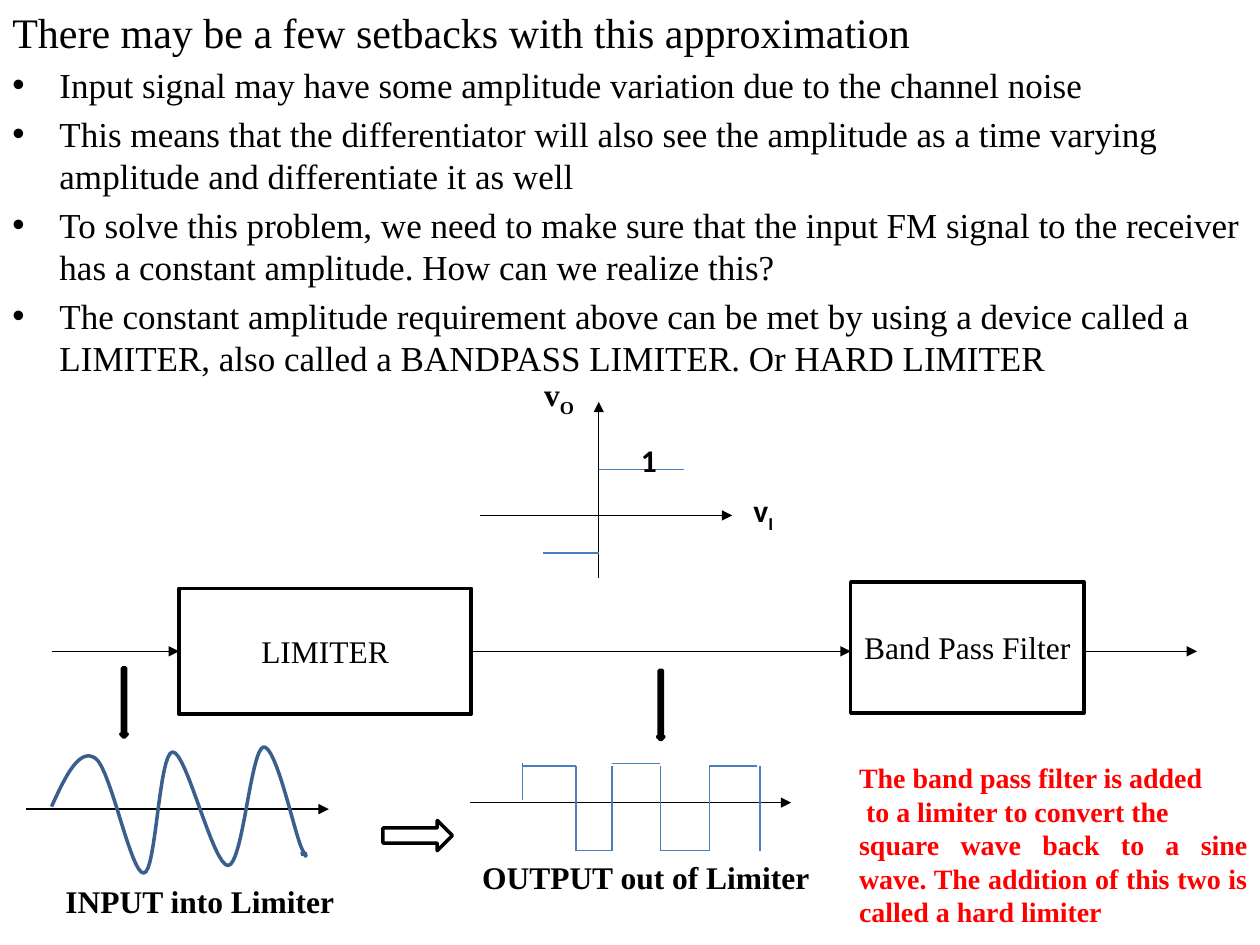
from dataclasses import dataclass

from lxml import etree
from pptx import Presentation
from pptx.dml.color import RGBColor
from pptx.enum.shapes import MSO_CONNECTOR, MSO_SHAPE
from pptx.enum.text import MSO_ANCHOR, MSO_AUTO_SIZE, PP_ALIGN
from pptx.oxml.ns import qn
from pptx.util import Cm, Pt

STRAIGHT = MSO_CONNECTOR.STRAIGHT
RECT, ARROW = MSO_SHAPE.RECTANGLE, MSO_SHAPE.RIGHT_ARROW
MIDDLE, GROW = MSO_ANCHOR.MIDDLE, MSO_AUTO_SIZE.SHAPE_TO_FIT_TEXT
CENTER, JUSTIFY = PP_ALIGN.CENTER, PP_ALIGN.JUSTIFY

HEX = {"ink": "000000", "paper": "FFFFFF", "wave": "4B7EBC",
       "curve": "3A5F8C", "note": "FF0000"}
SERIF = "Times New Roman"
STEPS = 16  # points per curve piece

# Text formats
BODY = {"name": SERIF, "size": Pt(20)}
HEAD = {"name": SERIF, "size": Pt(24)}
BLOCK = {"name": SERIF, "size": Pt(18)}
BOLD = {**BLOCK, "bold": True}
SANS = {**BOLD, "name": "Calibri"}
NOTE = {**BOLD, "size": Pt(16)}


@dataclass
class Line:
    x1: float
    y1: float
    x2: float
    y2: float


@dataclass
class Block:
    kind: int
    x: float
    y: float
    w: float
    h: float
    text: str = ""
    turn: int = 0


@dataclass
class Label:
    x: float
    y: float
    w: float
    text: str
    form: dict
    sub: str = ""


TITLE = "There may be a few setbacks with this approximation"
POINTS = [
    "Input signal may have some amplitude variation due to the channel noise",
    "This means that the differentiator will also see the amplitude as a time "
    "varying amplitude and differentiate it as well",
    "To solve this problem, we need to make sure that the input FM signal to "
    "the receiver has a constant amplitude. How can we realize this?",
    "The constant amplitude requirement above can be met by using a device "
    "called a LIMITER, also called a BANDPASS LIMITER. Or HARD LIMITER",
]
REMARK = [
    "The band pass filter is added",
    " to a limiter to convert the",
    "square wave back to a sine wave. The addition of this two is called "
    "a hard limiter",
]

BLOCKS = [
    Block(RECT, 3.61, 11.86, 5.89, 2.54, "LIMITER"),
    Block(RECT, 17.15, 11.73, 4.7, 2.64, "Band Pass Filter"),
    Block(ARROW, 7.72, 16.54, 1.4, 0.61),
    Block(ARROW, 12.62, 14.15, 1.4, 0.13, turn=90),
    Block(ARROW, 1.8, 14.1, 1.4, 0.13, turn=90),
]
FLOW = 13.13  # height of the signal path
ARROWS = [
    Line(1.04, FLOW, 3.61, FLOW),
    Line(9.47, FLOW, 17.15, FLOW),
    Line(21.84, FLOW, 24.13, FLOW),
    Line(9.68, 10.39, 14.76, 10.39),
    Line(12.07, 11.66, 12.07, 8.1),
    Line(0.53, 16.31, 6.63, 16.31),
    Line(9.47, 16.18, 15.95, 16.18),
]
LEVELS = [Line(12.07, 9.47, 13.79, 9.47), Line(12.07, 11.15, 10.95, 11.15)]
LABELS = [
    Label(14.94, 9.78, 0.97, "v", SANS, "I"),
    Label(10.72, 7.44, 1.14, "v", BOLD, "O"),
    Label(12.67, 8.76, 0.86, "1", SANS),
    Label(1.07, 17.65, 6.07, "INPUT into Limiter", BOLD),
    Label(9.47, 17.17, 7.32, "OUTPUT out of Limiter", BOLD),
]

# Square wave: a rise, then falling and rising edges joined at top and bottom
TOP, PEAK, LOW = 15.44, 15.39, 17.15
START, *EDGES = 10.54, 11.61, 12.34, 13.31, 14.3, 15.32
SQUARE = [Line(START, 16.13, START, PEAK)]
SQUARE += [Line(x, TOP, x, LOW) for x in EDGES]
SQUARE += [Line(a, LOW, b, LOW) for a, b in zip(EDGES[::2], EDGES[1::2])]
SQUARE += [Line(START, TOP, EDGES[0], TOP),
           Line(EDGES[1], PEAK, EDGES[2], PEAK),
           Line(EDGES[3], TOP, 15.27, TOP)]

# Sine wave: start point, then two handles and an end for each piece
SINE = [
    (1.04, 16.26), (1.32, 15.65), (1.6, 15.06), (1.93, 15.29),
    (2.24, 15.52), (2.64, 17.63), (2.9, 17.6),
    (3.15, 17.6), (3.2, 15.19), (3.48, 15.16),
    (3.76, 15.14), (4.29, 17.45), (4.6, 17.45),
    (4.9, 17.42), (5.05, 15.14), (5.31, 15.06),
    (5.56, 15.01), (5.92, 16.71), (6.07, 17.07),
    (6.22, 17.42), (6.15, 17.17), (6.15, 17.2),
    (6.15, 17.22), (6.07, 17.22), (6.07, 17.22),
]


def color(name: str) -> RGBColor:
    return RGBColor.from_string(HEX[name])


def write(para, text: str, form: dict, ink: str = "ink"):
    run = para.add_run()
    run.text = text
    for key, value in form.items():
        setattr(run.font, key, value)
    run.font.color.rgb = color(ink)
    return run


def stroke(shape, ink: str, width: float) -> None:
    shape.line.color.rgb = color(ink)
    shape.line.width = Pt(width)


def add_line(slide, line: Line, ink: str, head: bool = False) -> None:
    ends = [Cm(v) for v in (line.x1, line.y1, line.x2, line.y2)]
    link = slide.shapes.add_connector(STRAIGHT, *ends)
    stroke(link, ink, 0.75)
    if head:
        etree.SubElement(link.line._get_or_add_ln(), qn("a:tailEnd"),
                         type="triangle")
    etree.SubElement(link._element.spPr, qn("a:effectLst"))


def add_block(slide, block: Block) -> None:
    area = [Cm(v) for v in (block.x, block.y, block.w, block.h)]
    shape = slide.shapes.add_shape(block.kind, *area)
    shape.shadow.inherit = False
    shape.rotation = block.turn
    shape.fill.solid()
    shape.fill.fore_color.rgb = color("paper")
    stroke(shape, "ink", 2)
    if block.text:
        shape.text_frame.vertical_anchor = MIDDLE
        para = shape.text_frame.paragraphs[0]
        para.alignment = CENTER
        write(para, block.text, BLOCK)


def add_frame(slide, x: float, y: float, w: float, h: float, wrap: bool):
    frame = slide.shapes.add_textbox(Cm(x), Cm(y), Cm(w), Cm(h)).text_frame
    frame.word_wrap = wrap
    return frame


def add_label(slide, label: Label) -> None:
    frame = add_frame(slide, label.x, label.y, label.w, 1.02, False)
    frame.auto_size = GROW
    para = frame.paragraphs[0]
    write(para, label.text, label.form)
    if label.sub:
        low = write(para, label.sub, label.form)
        low.font._element.set("baseline", "-25000")


def add_bullet(frame, text: str) -> None:
    para = frame.add_paragraph()
    para.space_before = Pt(4)
    props = para._p.get_or_add_pPr()
    props.set("marL", str(Cm(0.95)))
    props.set("indent", str(-Cm(0.95)))
    etree.SubElement(props, qn("a:buFont"), typeface="Arial")
    etree.SubElement(props, qn("a:buChar"), char="•")
    write(para, text, BODY)


def add_curve(slide, knots: list[tuple[float, float]]) -> None:
    dots = []
    for i in range(0, len(knots) - 1, 3):
        for t in (n / STEPS for n in range(1, STEPS + 1)):
            parts = ((1 - t) ** 3, 3 * t * (1 - t) ** 2,
                     3 * t * t * (1 - t), t ** 3)
            dots.append(tuple(
                Cm(sum(p * k[axis] for p, k in zip(parts, knots[i:i + 4])))
                for axis in (0, 1)))
    pen = slide.shapes.build_freeform(Cm(knots[0][0]), Cm(knots[0][1]))
    pen.add_line_segments(dots, close=False)
    shape = pen.convert_to_shape()
    shape.shadow.inherit = False
    shape.fill.background()
    stroke(shape, "curve", 2)


def main() -> None:
    deck = Presentation()
    deck.slide_width, deck.slide_height = Cm(25.4), Cm(19.05)
    slide = deck.slides.add_slide(deck.slide_layouts[6])

    # Heading and bullets
    frame = add_frame(slide, 0, 0, 25.4, 19.05, True)
    write(frame.paragraphs[0], TITLE, HEAD)
    for text in POINTS:
        add_bullet(frame, text)

    # Block diagram, axes and waves
    for block in BLOCKS:
        add_block(slide, block)
    for line in ARROWS:
        add_line(slide, line, "ink", head=True)
    for line in LEVELS + SQUARE:
        add_line(slide, line, "wave")
    add_curve(slide, SINE)
    for label in LABELS:
        add_label(slide, label)

    # Red remark
    frame = add_frame(slide, 17.07, 15.21, 8.33, 3.68, True)
    for i, text in enumerate(REMARK):
        para = frame.add_paragraph() if i else frame.paragraphs[0]
        para.alignment = JUSTIFY
        write(para, text, NOTE, "note")

    deck.save("out.pptx")


if __name__ == "__main__":
    main()
